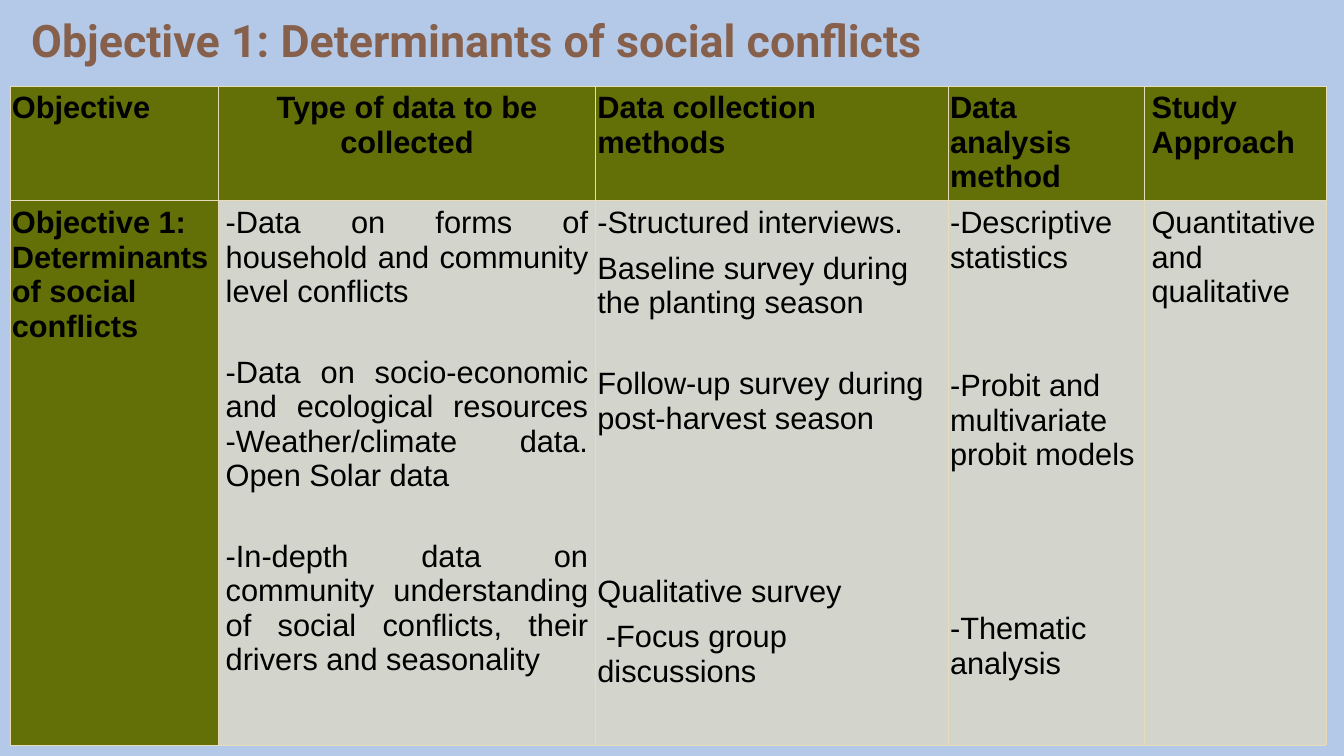
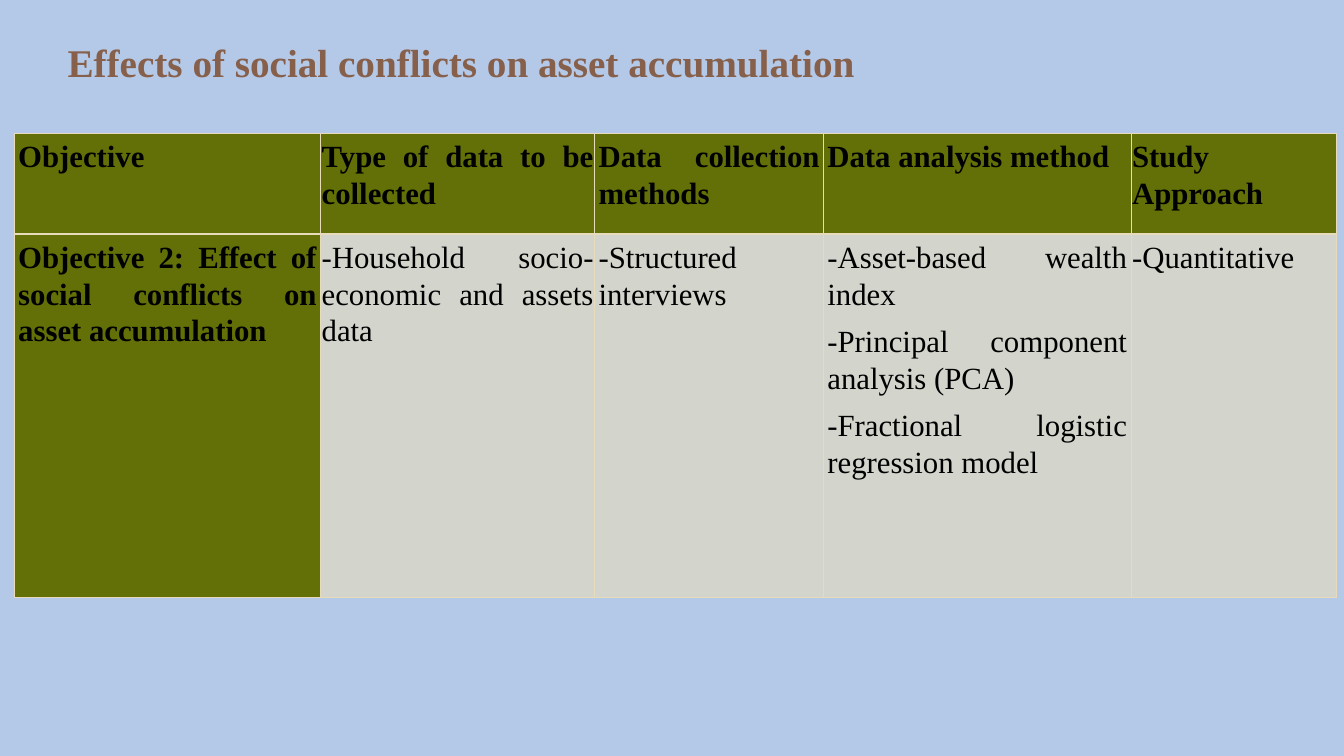
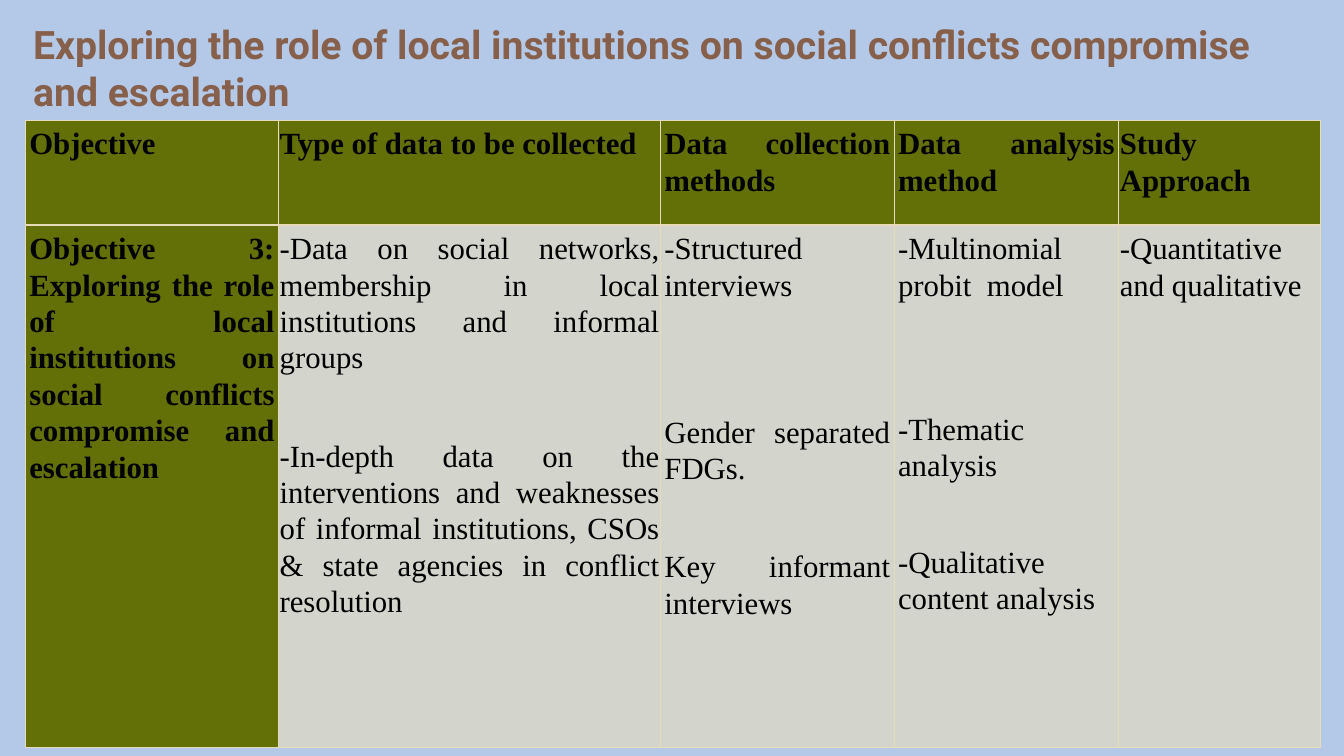
import pptx
import pptx.dml.color
import pptx.enum.text
import pptx.oxml
import pptx.oxml.ns
import pptx.util
from lxml import etree

Cm = pptx.util.Cm
Pt = pptx.util.Pt
ALIGN = pptx.enum.text.PP_ALIGN
ANCHOR = pptx.enum.text.MSO_ANCHOR

BACKGROUND = "B4C9E8"
TITLE_COLOUR = "87604C"
TEXT_COLOUR = "000000"
OLIVE = "637007"
GREY = "D3D5CC"
BORDER = "E8DBB9"
BODY_SIZE = 22
HEADERS = ["Objective", "Type of data to be collected", "Data collection methods",
           "Data analysis method", "Study Approach"]


def rgb(colour):
    return pptx.dml.color.RGBColor.from_string(colour)


def add_border(cell, position, side, width):
    """Insert one cell edge; edges must precede the fill, in the order L, R, T, B."""
    line = etree.Element(pptx.oxml.ns.qn(f"a:ln{side}"), w=str(Pt(width)))
    fill = etree.SubElement(line, pptx.oxml.ns.qn("a:solidFill"))
    etree.SubElement(fill, pptx.oxml.ns.qn("a:srgbClr"), val=BORDER)
    cell._tc.get_or_add_tcPr().insert(position, line)


# Each body cell is a list of (space before in points, text); lengths are in cm.
slides = [
    {
        "title": "Objective 1: Determinants of social conflicts",
        "title_box": (0.53, 0.36, 27.81, 1.47), "title_font": "Roboto", "title_size": 32,
        "title_anchor": ANCHOR.BOTTOM, "title_spacing": 0.9,
        "table_at": (0.25, 2.16), "columns": (5.26, 9.5, 8.89, 4.95, 4.57),
        "rows": (2.9, 13.72), "side_margins": (0.05, 0.18, 0.05, 0.05, 0.18),
        "font": "Arial", "spacing": 1.0, "thin": 0.34, "thick": 0.96,
        "header_align": [ALIGN.LEFT, ALIGN.CENTER] + [ALIGN.LEFT] * 3,
        "body_align": [ALIGN.LEFT, ALIGN.JUSTIFY] + [ALIGN.LEFT] * 3,
        "body": [
            [(0, "Objective 1: Determinants of social conflicts")],
            [(0, "-Data on forms of household and community level conflicts"),
             (33, "-Data on socio-economic and ecological resources\n"
                  "-Weather/climate data. Open Solar data"),
             (33, "-In-depth data on community understanding of social conflicts, "
                  "their drivers and seasonality")],
            [(0, "-Structured interviews."),
             (8, "Baseline survey during the planting season"),
             (33, "Follow-up survey during post-harvest season"),
             (99, "Qualitative survey"),
             (8, " -Focus group discussions")],
            [(0, "-Descriptive statistics"),
             (67, "-Probit and multivariate probit models"),
             (100, "-Thematic analysis")],
            [(0, "Quantitative and qualitative")],
        ],
    },
    {
        "title": "Effects of social conflicts on asset accumulation",
        "title_box": (1.45, 0.84, 31.88, 1.45), "title_font": "Times New Roman",
        "title_size": 28, "title_anchor": ANCHOR.TOP, "title_spacing": 1.0,
        "table_at": (0.36, 3.35), "columns": (7.72, 6.91, 5.77, 7.75, 5.18),
        "rows": (2.54, 9.17), "side_margins": (0.1, 0.03, 0.1, 0.1, 0.03),
        "font": "Times New Roman", "spacing": 1.07, "thin": 0.45, "thick": 1.47,
        "header_align": [ALIGN.JUSTIFY] * 5,
        "body_align": [ALIGN.JUSTIFY] * 5,
        "body": [
            [(0, "Objective 2: Effect of social conflicts on asset accumulation")],
            [(0, "-Household socio-economic and assets data")],
            [(0, "-Structured interviews")],
            [(0, "-Asset-based wealth index"),
             (8, "-Principal component analysis (PCA)"),
             (8, "-Fractional logistic regression model")],
            [(0, "-Quantitative")],
        ],
    },
    {
        "title": "Exploring the role of local institutions on social conflicts "
                 "compromise and escalation",
        "title_box": (0.58, 0.38, 32.23, 2.64), "title_font": "Roboto", "title_size": 28,
        "title_anchor": ANCHOR.TOP, "title_spacing": 1.0,
        "table_at": (0.64, 3.02), "columns": (6.38, 9.63, 5.89, 5.66, 5.08),
        "rows": (2.64, 13.18), "side_margins": (0.1, 0.03, 0.1, 0.1, 0.03),
        "font": "Times New Roman", "spacing": 1.07, "thin": 0.45, "thick": 1.47,
        "header_align": [ALIGN.JUSTIFY] * 5,
        "body_align": [ALIGN.JUSTIFY] * 5,
        "body": [
            [(0, "Objective 3: Exploring the role of local institutions on social "
                 "conflicts compromise and escalation")],
            [(0, "-Data on social networks, membership in local institutions "
                 "and informal groups"),
             (44, "-In-depth data on the interventions and weaknesses of informal "
                  "institutions, CSOs & state agencies in conflict resolution")],
            [(0, "-Structured interviews"),
             (79, "Gender separated FDGs."),
             (44, "Key informant interviews")],
            [(0, "-Multinomial probit  model"),
             (77, "-Thematic analysis"),
             (43, "-Qualitative content analysis")],
            [(0, "-Quantitative and qualitative")],
        ],
    },
]

presentation = pptx.Presentation()
presentation.slide_width = Cm(33.88)
presentation.slide_height = Cm(19.05)
background = presentation.slide_master.background.fill
background.solid()
background.fore_color.rgb = rgb(BACKGROUND)
title_only = presentation.slide_layouts.get_by_name("Title Only")

for content in slides:
    slide = presentation.slides.add_slide(title_only)

    title = slide.shapes.title
    title.left, title.top, title.width, title.height = map(Cm, content["title_box"])
    frame = title.text_frame
    frame.word_wrap = True
    frame.auto_size = pptx.enum.text.MSO_AUTO_SIZE.NONE
    frame.vertical_anchor = content["title_anchor"]
    paragraph = frame.paragraphs[0]
    paragraph.alignment = ALIGN.LEFT
    paragraph.line_spacing = content["title_spacing"]
    run = paragraph.add_run()
    run.text = content["title"]
    run.font.name = content["title_font"]
    run.font.size = Pt(content["title_size"])
    run.font.bold = True
    run.font.color.rgb = rgb(TITLE_COLOUR)

    left, top = map(Cm, content["table_at"])
    table = slide.shapes.add_table(
        2, len(HEADERS), left, top,
        Cm(sum(content["columns"])), Cm(sum(content["rows"]))).table
    for column, width in zip(table.columns, content["columns"]):
        column.width = Cm(width)
    for row, height in zip(table.rows, content["rows"]):
        row.height = Cm(height)

    header_cells = [[(0, header)] for header in HEADERS]
    for row_index, row_cells in enumerate([header_cells, content["body"]]):
        is_header = row_index == 0
        alignments = content["header_align" if is_header else "body_align"]
        for column_index, paragraphs in enumerate(row_cells):
            is_heading = is_header or column_index == 0
            cell = table.cell(row_index, column_index)
            cell.fill.solid()
            cell.fill.fore_color.rgb = rgb(OLIVE if is_heading else GREY)
            cell.margin_left = cell.margin_right = Cm(content["side_margins"][column_index])
            cell.margin_top = cell.margin_bottom = Cm(0.13)
            thick_side = "B" if is_header else "T"
            for position, side in enumerate("LRTB"):
                width = content["thick" if side == thick_side else "thin"]
                add_border(cell, position, side, width)

            for index, (space_before, text) in enumerate(paragraphs):
                frame = cell.text_frame
                paragraph = frame.add_paragraph() if index else frame.paragraphs[0]
                paragraph.alignment = alignments[column_index]
                paragraph.line_spacing = content["spacing"]
                paragraph.space_before = Pt(space_before)
                for line_index, line in enumerate(text.split("\n")):
                    if line_index:
                        paragraph.add_line_break()
                    run = paragraph.add_run()
                    run.text = line
                    run.font.name = content["font"]
                    run.font.size = Pt(BODY_SIZE)
                    run.font.bold = is_heading
                    run.font.color.rgb = rgb(TEXT_COLOUR)

presentation.save("out.pptx")
